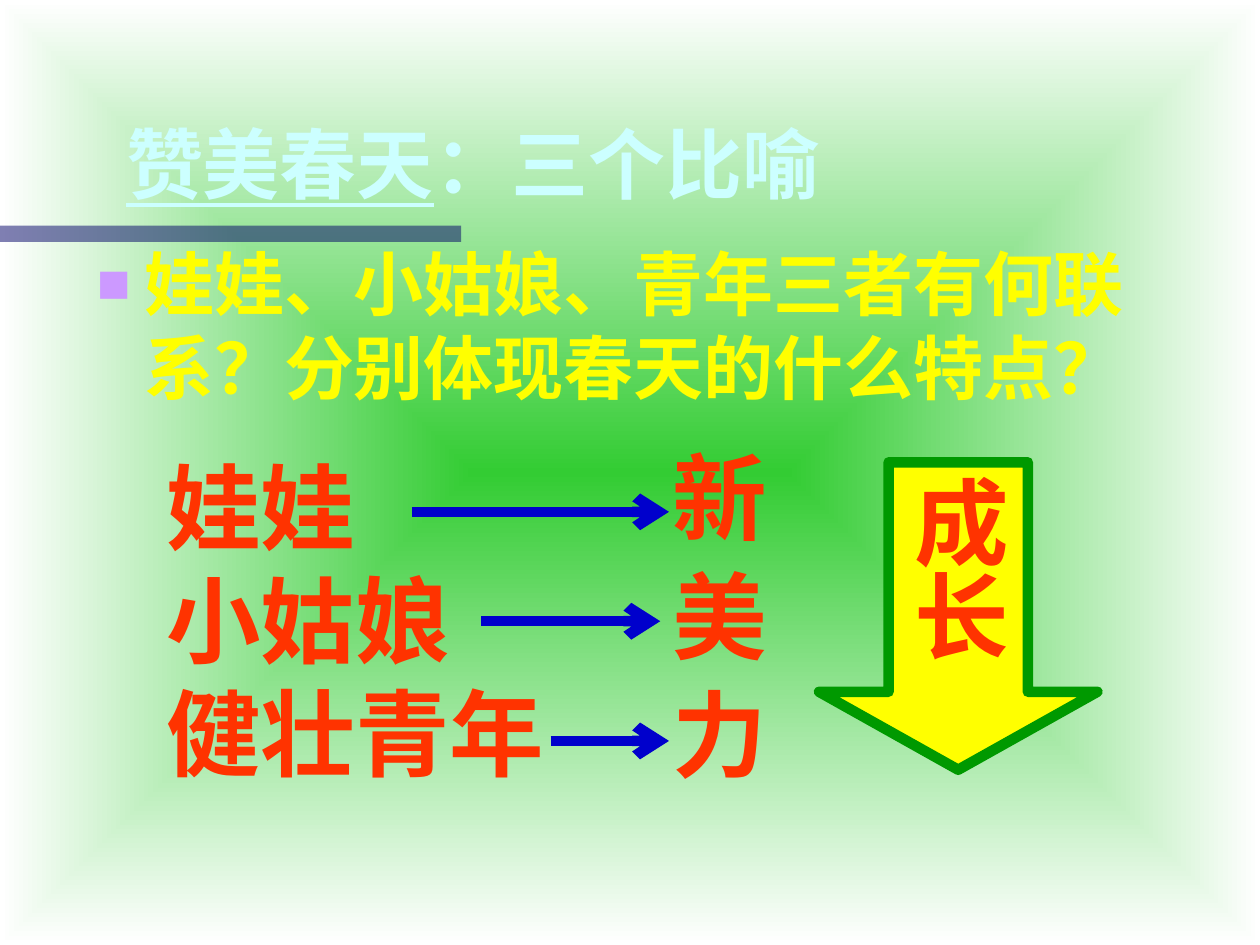
from lxml import etree
from pptx import Presentation
from pptx.dml.color import RGBColor
from pptx.enum.shapes import MSO_CONNECTOR, MSO_SHAPE
from pptx.enum.text import MSO_ANCHOR, MSO_AUTO_SIZE, PP_ALIGN
from pptx.oxml.ns import qn
from pptx.util import Pt

LEFT, CENTER = PP_ALIGN.LEFT, PP_ALIGN.CENTER
TOP, MIDDLE, BOTTOM = MSO_ANCHOR.TOP, MSO_ANCHOR.MIDDLE, MSO_ANCHOR.BOTTOM
RECT, DOWN = MSO_SHAPE.RECTANGLE, MSO_SHAPE.DOWN_ARROW
STRAIGHT = MSO_CONNECTOR.STRAIGHT
FIXED = MSO_AUTO_SIZE.NONE
FONT, RED = "Cabin", "FF3300"

# Content
TITLE = ("赞美春天", "：三个比喻")
QUESTION = "娃娃、小姑娘、青年三者有何联系？分别体现春天的什么特点？"
IMAGES = ["娃娃", "小姑娘", "健壮青年"]
TRAITS = ["新", "美", "力"]
GROWTH = "成长"
ARROWS = [(235.4, 382.3, 292.5), (275, 377.3, 355), (314.6, 382.3, 423.4)]


def paint(color, code):
    color.rgb = RGBColor.from_string(code)


def fill(shape, code):
    shape.fill.solid()
    paint(shape.fill.fore_color, code)


def add(parent, tag, **attrs):
    return etree.SubElement(parent, qn(tag), attrs)


def style(par, size, code, align=LEFT):
    par.alignment = align
    par.space_before = Pt(0)
    font = par.font
    font.name, font.size, font.bold = FONT, Pt(size), True
    paint(font.color, code)


def frame(shape, anchor, wrap=True):
    text = shape.text_frame
    text.auto_size = FIXED
    text.word_wrap = wrap
    text.vertical_anchor = anchor
    return text


def place(shape, x, y, w, h):
    shape.left, shape.top, shape.width, shape.height = map(Pt, (x, y, w, h))


def label(shapes, lines, box, anchor, wrap=True):
    text = frame(shapes.add_textbox(*map(Pt, box)), anchor, wrap)
    text.text = "\n".join(lines)
    for par in text.paragraphs:
        style(par, 54, RED)


def main():
    deck = Presentation()
    deck.slide_width, deck.slide_height = Pt(720), Pt(540)
    slide = deck.slides.add_slide(deck.slide_layouts[1])
    shapes = slide.shapes

    # Background glow from the centre
    back = slide.background.fill
    back.gradient()
    for stop, pos, code in zip(back.gradient_stops, (0, 1), ("33CC33", "FFFFFF")):
        stop.position = pos
        paint(stop.color, code)
    grad = slide.background._cSld.find(".//" + qn("a:gradFill"))
    grad.remove(grad.find(qn("a:lin")))
    glow = add(grad, "a:path", path="rect")
    add(glow, "a:fillToRect", **dict.fromkeys("ltrb", "50000"))

    # Half-transparent bar, behind the text
    bar = shapes.add_shape(RECT, 0, Pt(128.9), Pt(263.5), Pt(9.4))
    bar.shadow.inherit = False
    fill(bar, "000066")
    bar.line.fill.background()
    add(bar._element.spPr.find(".//" + qn("a:srgbClr")), "a:alpha", val="50000")
    shapes._spTree.insert(2, bar._element)

    # Title
    title = shapes.title
    place(title, 64.8, 60.5, 436.3, 62.6)
    par = frame(title, BOTTOM).paragraphs[0]
    for part in TITLE:
        par.add_run().text = part
    par.runs[0].font.underline = True
    style(par, 44, "CCFFFF")

    # Question
    body = slide.placeholders[1]
    place(body, 48.2, 133.9, 612, 113.8)
    par = frame(body, TOP).paragraphs[0]
    par.text = QUESTION
    props = par._p.get_or_add_pPr()
    props.set("marL", str(Pt(27)))
    props.set("indent", str(Pt(-27)))
    add(add(props, "a:buClr"), "a:srgbClr", val="CC99FF")
    add(props, "a:buSzPct", val="80000")
    add(props, "a:buChar", char="■")
    style(par, 40, "FFFF00")

    # Images and traits
    label(shapes, IMAGES, (87.8, 252.7, 238.3, 201.6), BOTTOM)
    for row, trait in enumerate(TRAITS):
        label(shapes, [trait], (377.3, 247 + 68 * row, 68.4, 72), MIDDLE, False)

    # Growth arrow
    grow = shapes.add_shape(DOWN, Pt(468), Pt(264.2), Pt(159.1), Pt(175.7))
    grow.shadow.inherit = False
    grow.adjustments[0], grow.adjustments[1] = 0.5, 0.28
    fill(grow, "FFFF00")
    grow.line.width = Pt(6)
    paint(grow.line.color, "009900")
    text = frame(grow, MIDDLE, False)
    text.margin_left = text.margin_right = Pt(3.6)
    text.margin_top = text.margin_bottom = Pt(7.2)
    text._txBody.bodyPr.set("vert", "eaVert")
    text.text = GROWTH
    style(text.paragraphs[0], 54, RED, CENTER)

    # Arrows from image to trait
    for start, end, y in ARROWS:
        line = shapes.add_connector(STRAIGHT, Pt(start), Pt(y), Pt(end), Pt(y))
        line.line.width = Pt(6)
        paint(line.line.color, "0000CC")
        add(line.line._get_or_add_ln(), "a:tailEnd", type="arrow")
        add(line._element.spPr, "a:effectLst")

    deck.save("out.pptx")


if __name__ == "__main__":
    main()
